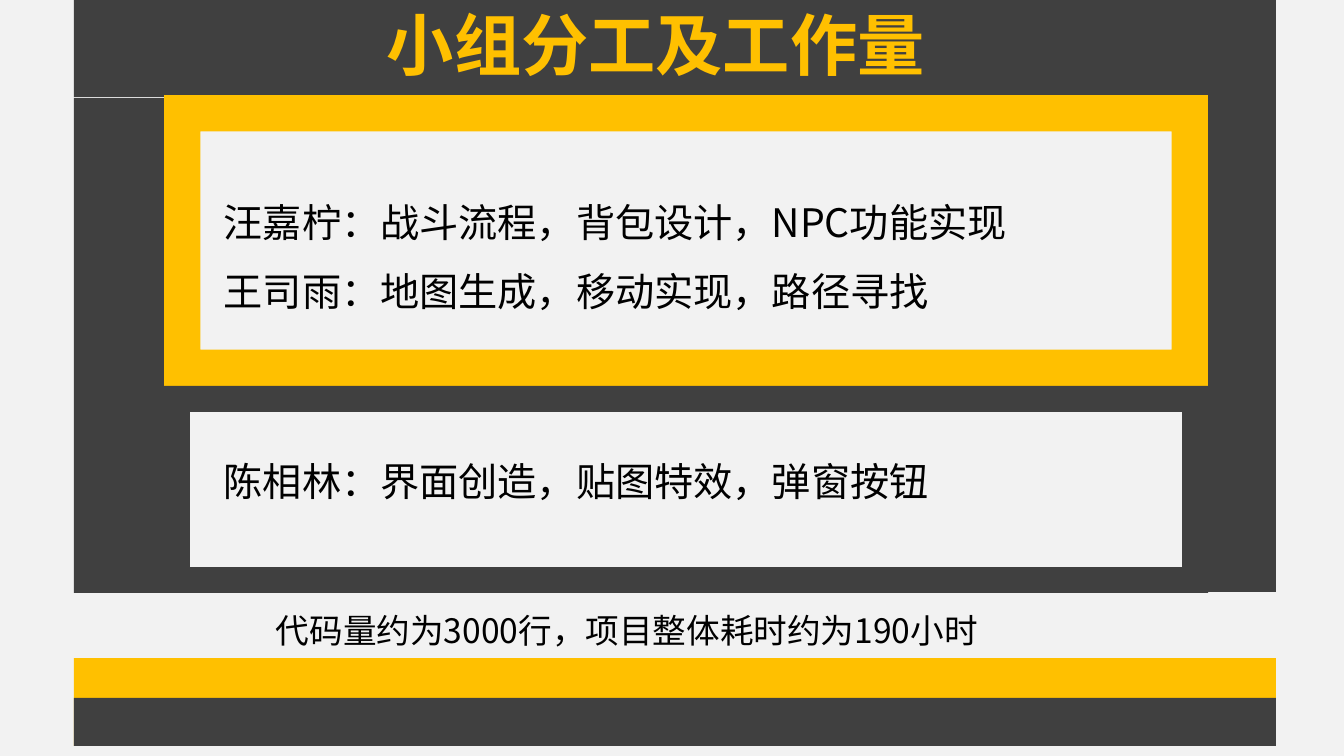
from dataclasses import dataclass

from lxml import etree
from pptx import Presentation
from pptx import util as u
from pptx.dml.color import RGBColor
from pptx.enum import shapes
from pptx.oxml import ns


@dataclass(frozen=True)
class Theme:
    paper: str = "F2F2F2"
    dark: str = "404040"
    accent: str = "FFC000"
    ink: str = "000000"
    title_font: str = "TeX Gyre Adventor"
    body_font: str = "Noto Sans CJK SC"
    title_size: int = 48
    body_size: int = 28
    note_size: int = 24


THEME = Theme()
SLIDE_W, SLIDE_H = 1344, 756
SCALE = 12192000 / SLIDE_W
BAND_X, BAND_W = 74, 1202
FRAME_X, FRAME_W = 164, 1044


def px(n):
    return u.Emu(round(n * SCALE))


def add_block(s, kind, x, y, w, h, color):
    sp = s.shapes.add_shape(kind, px(x), px(y), px(w), px(h))
    sp.shadow.inherit = False
    sp.fill.solid()
    sp.fill.fore_color.rgb = RGBColor.from_string(color)
    sp.line.fill.background()


def add_text(s, x, y, w, h, lines, font, size, color, spacing, bold=False):
    tf = s.shapes.add_textbox(px(x), px(y), px(w), px(h)).text_frame
    tf.word_wrap = True
    for i, (line, before) in enumerate(lines):
        p = tf.paragraphs[0] if i == 0 else tf.add_paragraph()
        p.line_spacing = spacing
        p.space_before = u.Pt(before)
        r = p.add_run()
        r.text = line
        r.font.name = font
        r.font.size = u.Pt(size)
        r.font.bold = bold
        r.font.color.rgb = RGBColor.from_string(color)
        ea = etree.SubElement(r.font._element, ns.qn("a:ea"))
        ea.set("typeface", font)


def main():
    prs = Presentation()
    prs.slide_width, prs.slide_height = px(SLIDE_W), px(SLIDE_H)
    s = prs.slides.add_slide(prs.slide_layouts[6])
    s.background.fill.solid()
    s.background.fill.fore_color.rgb = RGBColor.from_string(THEME.paper)

    rect, frame = shapes.MSO_SHAPE.RECTANGLE, shapes.MSO_SHAPE.FRAME
    add_block(s, rect, BAND_X, 0, BAND_W, 97, THEME.dark)
    add_text(s, 377, 8, 724, 197, [("小组分工及工作量", 0)],
             THEME.title_font, THEME.title_size, THEME.accent, 0.9, True)
    duties = [
        ("汪嘉柠：战斗流程，背包设计，NPC功能实现", 0),
        ("王司雨：地图生成，移动实现，路径寻找", 6),
        ("陈相林：界面创造，贴图特效，弹窗按钮", 92),
    ]
    add_text(s, 214, 179, 916, 330, duties,
             THEME.body_font, THEME.body_size, THEME.ink, 1.3)
    add_block(s, frame, FRAME_X, 95, FRAME_W, 291, THEME.accent)
    add_block(s, frame, FRAME_X, 386, FRAME_W, 207, THEME.dark)
    add_block(s, rect, FRAME_X + FRAME_W, 95, 68, 497, THEME.dark)
    add_block(s, rect, BAND_X, 98, FRAME_X - BAND_X, 495, THEME.dark)
    add_text(s, 266, 593, 903, 57,
             [("代码量约为3000行，项目整体耗时约为190小时", 0)],
             THEME.body_font, THEME.note_size, THEME.ink, 1.3)
    add_block(s, rect, BAND_X, 658, BAND_W, 88, THEME.accent)
    add_block(s, rect, BAND_X, 698, BAND_W, 48, THEME.dark)
    prs.save("out.pptx")


if __name__ == "__main__":
    main()
